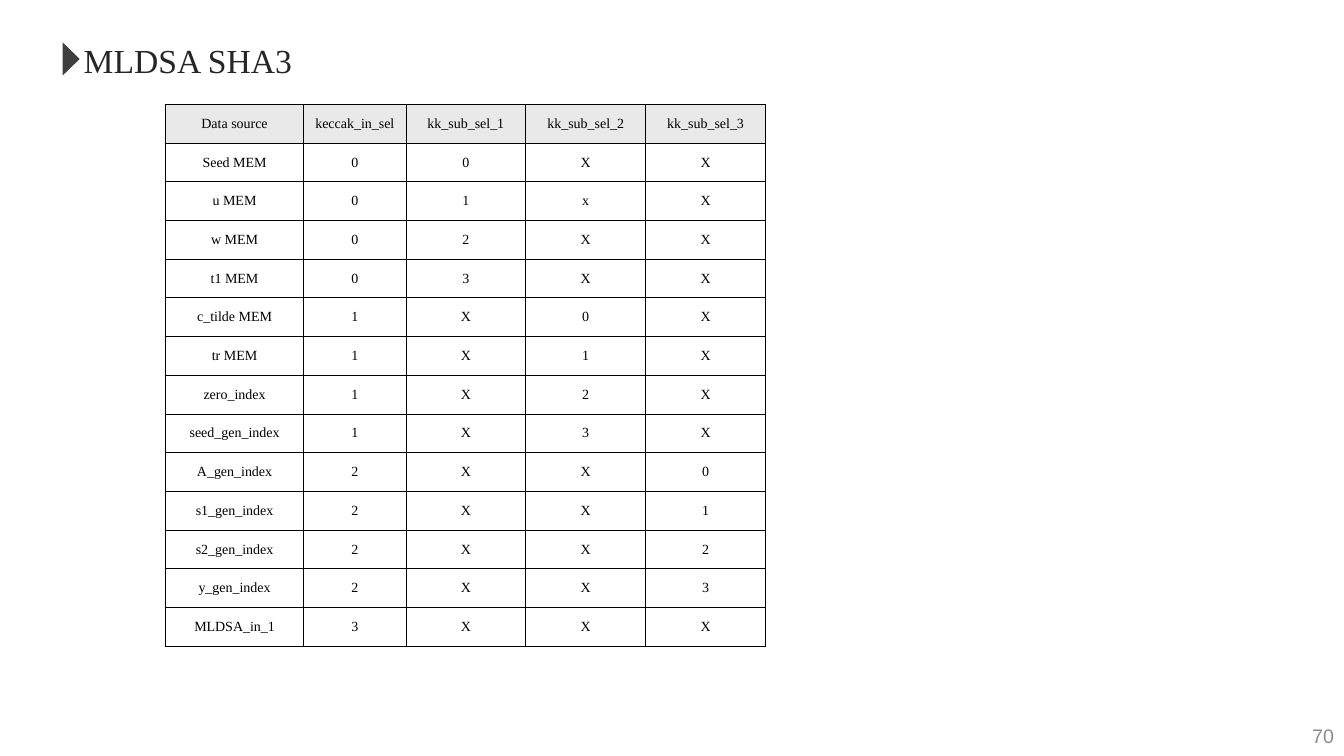
"""Build the MLDSA SHA3 slide with its table of data source selects."""
import dataclasses
import typing

import lxml.etree
import pptx
import pptx.dml.color
import pptx.enum.shapes
import pptx.enum.text
import pptx.oxml.ns
import pptx.util


@dataclasses.dataclass(frozen=True)
class Theme:
    serif: str = "Times New Roman"
    sans: str = "Arial"
    title: str = "262626"
    mark: str = "3F3F3F"
    head: str = "E9E9E9"
    ink: str = "000000"
    page: str = "8C8C8C"
    big: float = 24
    mid: float = 14
    small: float = 10
    rule: float = 0.5


class Box(typing.NamedTuple):
    left: float
    top: float
    width: float
    height: float


class Source(typing.NamedTuple):
    name: str
    main: str
    sub1: str
    sub2: str
    sub3: str


THEME = Theme()
WIDE = pptx.util.Inches(13.33)
HIGH = pptx.util.Inches(7.5)
ALIGN = pptx.enum.text.PP_ALIGN
ANCHOR = pptx.enum.text.MSO_ANCHOR

TITLE = Box(5.48, 4.67, 17.18, 6.67)
MARK = Box(4.05, 6.67, 2.48, 2.27)
PAGE = Box(77.5, 94.67, 22.5, 5.33)
TABLE = Box(12.3, 13.8, 44.66, 71.68)
COLS = (10.3, 7.6, 8.92, 8.92, 8.92)

ROWS = (
    Source("Data source", "keccak_in_sel", "kk_sub_sel_1", "kk_sub_sel_2", "kk_sub_sel_3"),
    Source("Seed MEM", "0", "0", "X", "X"),
    Source("u MEM", "0", "1", "x", "X"),
    Source("w MEM", "0", "2", "X", "X"),
    Source("t1 MEM", "0", "3", "X", "X"),
    Source("c_tilde MEM", "1", "X", "0", "X"),
    Source("tr MEM", "1", "X", "1", "X"),
    Source("zero_index", "1", "X", "2", "X"),
    Source("seed_gen_index", "1", "X", "3", "X"),
    Source("A_gen_index", "2", "X", "X", "0"),
    Source("s1_gen_index", "2", "X", "X", "1"),
    Source("s2_gen_index", "2", "X", "X", "2"),
    Source("y_gen_index", "2", "X", "X", "3"),
    Source("MLDSA_in_1", "3", "X", "X", "X"),
)


def across(share: float) -> int:
    return round(WIDE * share / 100)


def down(share: float) -> int:
    return round(HIGH * share / 100)


def place(box: Box) -> tuple[int, int, int, int]:
    return across(box.left), down(box.top), across(box.width), down(box.height)


def tint(code: str) -> pptx.dml.color.RGBColor:
    return pptx.dml.color.RGBColor.from_string(code)


def write(frame: typing.Any, text: str, face: str, size: float, code: str,
          align: ALIGN, anchor: ANCHOR = ANCHOR.MIDDLE) -> None:
    frame.vertical_anchor = anchor
    line = frame.paragraphs[0]
    line.alignment = align
    run = line.add_run()
    run.text = text
    run.font.name = face
    run.font.size = pptx.util.Pt(size)
    run.font.color.rgb = tint(code)


def edge(cell: typing.Any) -> None:
    name = pptx.oxml.ns.qn
    props = cell._tc.get_or_add_tcPr()
    for side in ("lnL", "lnR", "lnT", "lnB"):
        line = lxml.etree.SubElement(props, name(f"a:{side}"), w=str(pptx.util.Pt(THEME.rule)))
        fill = lxml.etree.SubElement(line, name("a:solidFill"))
        lxml.etree.SubElement(fill, name("a:srgbClr"), val=THEME.ink)


def draw_head(slide: typing.Any) -> None:
    title = slide.shapes.title
    title.left, title.top, title.width, title.height = place(TITLE)
    frame = title.text_frame
    frame.word_wrap = False
    frame.auto_size = pptx.enum.text.MSO_AUTO_SIZE.NONE
    write(frame, "MLDSA SHA3", THEME.serif, THEME.big, THEME.title, ALIGN.LEFT, ANCHOR.TOP)
    kind = pptx.enum.shapes.MSO_SHAPE.ISOSCELES_TRIANGLE
    mark = slide.shapes.add_shape(kind, *place(MARK))
    mark.rotation = 90
    mark.shadow.inherit = False
    mark.fill.solid()
    mark.fill.fore_color.rgb = tint(THEME.mark)
    mark.line.fill.background()


def draw_table(slide: typing.Any) -> None:
    table = slide.shapes.add_table(len(ROWS), len(COLS), *place(TABLE)).table
    table.first_row = table.horz_banding = False
    for col, share in zip(table.columns, COLS):
        col.width = across(share)
    for i, source in enumerate(ROWS):
        table.rows[i].height = down(TABLE.height / len(ROWS))
        for j, text in enumerate(source):
            cell = table.cell(i, j)
            cell.margin_left = cell.margin_right = pptx.util.Inches(0.05)
            cell.vertical_anchor = ANCHOR.MIDDLE
            edge(cell)
            if i == 0:
                cell.fill.solid()
                cell.fill.fore_color.rgb = tint(THEME.head)
            else:
                cell.fill.background()
            write(cell.text_frame, text, THEME.serif, THEME.small, THEME.ink, ALIGN.CENTER)


def draw_page(slide: typing.Any) -> None:
    frame = slide.shapes.add_textbox(*place(PAGE)).text_frame
    frame.word_wrap = True
    write(frame, "70", THEME.sans, THEME.mid, THEME.page, ALIGN.RIGHT)


def main() -> None:
    deck = pptx.Presentation()
    deck.slide_width, deck.slide_height = WIDE, HIGH
    slide = deck.slides.add_slide(deck.slide_layouts[5])
    draw_head(slide)
    draw_table(slide)
    draw_page(slide)
    deck.save("out.pptx")


if __name__ == "__main__":
    main()
